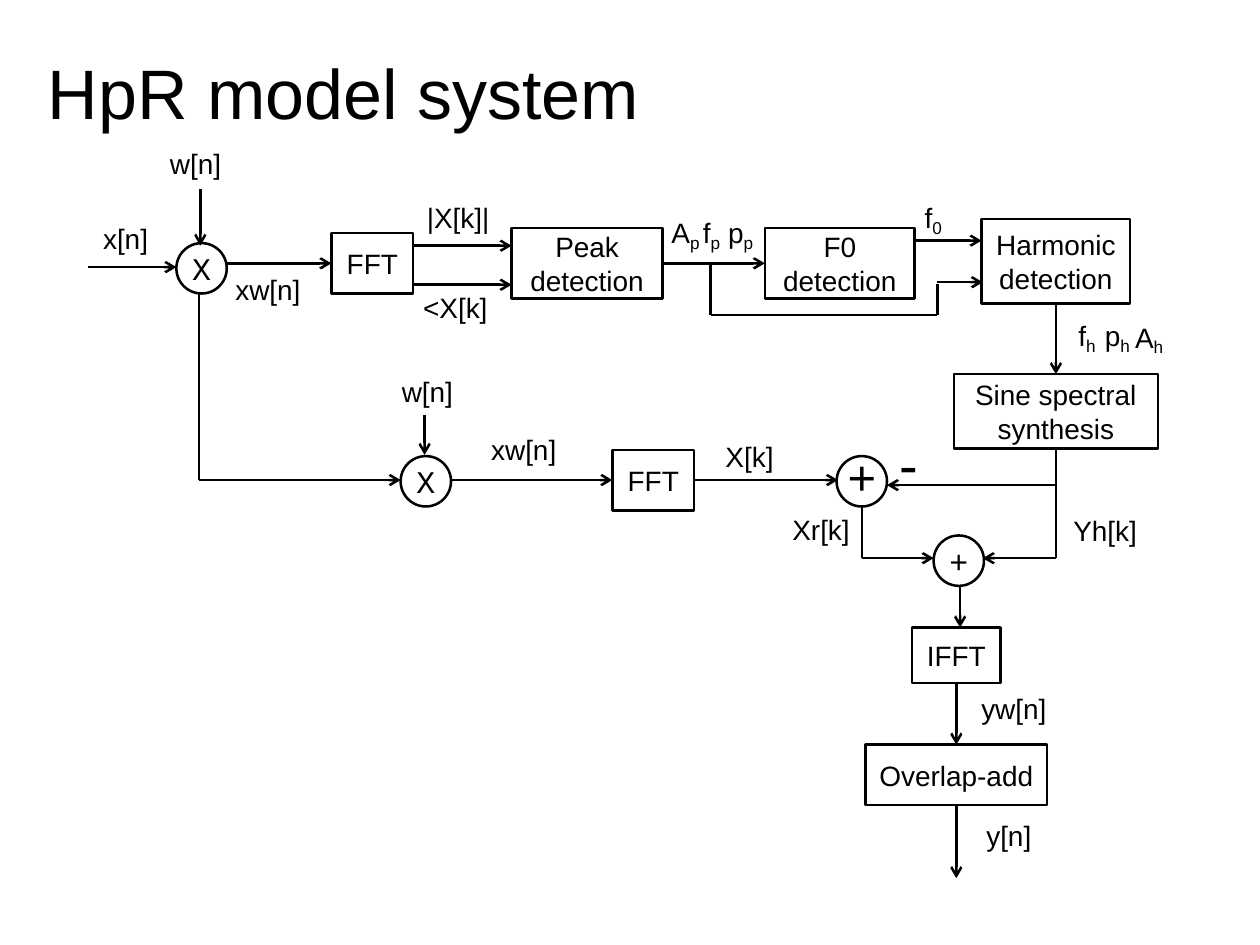
from dataclasses import dataclass
from typing import Optional

from lxml import etree
from pptx import Presentation
from pptx.dml.color import RGBColor
from pptx.enum.shapes import MSO_CONNECTOR, MSO_SHAPE
from pptx.enum.text import MSO_ANCHOR, MSO_AUTO_SIZE, PP_ALIGN
from pptx.oxml.ns import qn
from pptx.util import Emu, Pt

BLACK = RGBColor(0, 0, 0)
WHITE = RGBColor(255, 255, 255)
STRAIGHT = MSO_CONNECTOR.STRAIGHT
RECT, OVAL = MSO_SHAPE.RECTANGLE, MSO_SHAPE.OVAL
MIDDLE = MSO_ANCHOR.MIDDLE
LEFT, CENTER = PP_ALIGN.LEFT, PP_ALIGN.CENTER
NO_FIT, FIT_SHAPE = MSO_AUTO_SIZE.NONE, MSO_AUTO_SIZE.SHAPE_TO_FIT_TEXT
TOP_SIDE, LEFT_SIDE, BOTTOM_SIDE, RIGHT_SIDE = range(4)
SANS, MONO = "Arial", "Courier New"
LINE_WIDTH = Pt(1.45)
EMU_PER_PX = 9144
NODE = 40


@dataclass
class Box:
    name: str
    text: str
    x: int
    y: int
    w: int
    h: int


@dataclass
class Node:
    text: str
    x: int
    y: int
    size: int = 18
    font: str = MONO
    spacing: float = 1.0


@dataclass
class Label:
    text: str
    x: int
    y: int
    w: int
    h: int = 42
    sub: str = ""
    size: int = 16


@dataclass
class Wire:
    x1: int
    y1: int
    x2: int
    y2: int
    arrow: bool = True
    begin: Optional[tuple[str, int]] = None
    end: Optional[tuple[str, int]] = None


BOXES = [
    Box("fft_top", "FFT", 263, 185, 65, 48),
    Box("peak", "Peak detection", 406, 181, 120, 56),
    Box("f0", "F0\ndetection", 607, 181, 119, 56),
    Box("harmonic", "Harmonic\ndetection", 779, 174, 118, 67),
    Box("sine", "Sine spectral\nsynthesis", 757, 297, 162, 59),
    Box("fft_low", "FFT", 486, 357, 65, 48),
    Box("ifft", "IFFT", 724, 498, 70, 44),
    Box("overlap", "Overlap-add", 687, 591, 144, 48),
]

NODES = [
    Node("X", 140, 193),
    Node("X", 318, 362),
    Node("+", 664, 362, 28, SANS, 0.8),
    Node("+", 741, 425),
]

LABELS = [
    Label("x[n]", 72, 171, 66),
    Label("w[n]", 125, 111, 72),
    Label("xw[n]", 177, 211, 86),
    Label("|X[k]|", 329, 154, 83),
    Label("<X[k]", 326, 226, 85),
    Label("A", 523, 165, 49, 45, "p"),
    Label("f", 548, 165, 39, 45, "p"),
    Label("p", 568, 165, 46, 45, "p"),
    Label("f", 724, 153, 39, 45, "0"),
    Label("f", 846, 247, 39, 45, "h"),
    Label("p", 867, 247, 46, 45, "h"),
    Label("A", 891, 248, 49, 45, "h"),
    Label("w[n]", 309, 292, 72),
    Label("xw[n]", 380, 338, 86),
    Label("X[k]", 566, 344, 86),
    Label("-", 704, 336, 54, 65, size=32),
    Label("Xr[k]", 619, 402, 85),
    Label("Yh[k]", 842, 403, 84),
    Label("yw[n]", 769, 544, 86),
    Label("y[n]", 773, 645, 66),
]

WIRES = [
    Wire(70, 212, 140, 212),
    Wire(159, 150, 159, 195),
    Wire(180, 209, 263, 209, end=("fft_top", LEFT_SIDE)),
    Wire(328, 195, 406, 195),
    Wire(328, 226, 406, 226),
    Wire(526, 209, 607, 209, True, ("peak", RIGHT_SIDE), ("f0", LEFT_SIDE)),
    Wire(564, 209, 564, 250, False),
    Wire(564, 250, 744, 250, False),
    Wire(744, 250, 744, 225, False),
    Wire(744, 224, 780, 224),
    Wire(726, 191, 779, 191),
    Wire(838, 241, 838, 297, True, ("harmonic", BOTTOM_SIDE), ("sine", TOP_SIDE)),
    Wire(158, 233, 158, 381, False),
    Wire(158, 381, 318, 381),
    Wire(337, 329, 337, 361),
    Wire(358, 381, 486, 381, end=("fft_low", LEFT_SIDE)),
    Wire(551, 381, 665, 381, begin=("fft_low", RIGHT_SIDE)),
    Wire(838, 356, 838, 443, False, ("sine", BOTTOM_SIDE)),
    Wire(838, 385, 704, 385),
    Wire(838, 443, 780, 443),
    Wire(684, 402, 684, 443, False),
    Wire(684, 443, 741, 443),
    Wire(762, 465, 762, 498),
    Wire(759, 542, 759, 591, True, ("ifft", BOTTOM_SIDE), ("overlap", TOP_SIDE)),
    Wire(759, 639, 759, 697, begin=("overlap", BOTTOM_SIDE)),
]


def px(n: int) -> Emu:
    return Emu(n * EMU_PER_PX)


def set_insets(tf, dx: int, dy: int) -> None:
    tf.margin_left = tf.margin_right = px(dx)
    tf.margin_top = tf.margin_bottom = px(dy)


def format_text(tf, size: int, align, font: str = SANS) -> None:
    for p in tf.paragraphs:
        p.alignment = align
        for r in p.runs:
            r.font.size = Pt(size)
            r.font.name = font
            r.font.color.rgb = BLACK


def add_outlined(slide, kind, x: int, y: int, w: int, h: int, text: str):
    sp = slide.shapes.add_shape(kind, px(x), px(y), px(w), px(h))
    sp.shadow.inherit = False
    sp.fill.background()
    sp.line.color.rgb = BLACK
    sp.line.width = LINE_WIDTH
    sp.text_frame.text = text
    sp.text_frame.vertical_anchor = MIDDLE
    return sp


def draw_box(slide, box: Box):
    sp = add_outlined(slide, RECT, box.x, box.y, box.w, box.h, box.text)
    set_insets(sp.text_frame, 10, 5)
    format_text(sp.text_frame, 16, CENTER)
    return sp


def draw_node(slide, node: Node) -> None:
    tf = add_outlined(slide, OVAL, node.x, node.y, NODE, NODE, node.text).text_frame
    tf.word_wrap = False
    set_insets(tf, 0, 0)
    tf.paragraphs[0].line_spacing = node.spacing
    format_text(tf, node.size, CENTER, node.font)


def draw_label(slide, label: Label) -> None:
    sp = slide.shapes.add_textbox(px(label.x), px(label.y), px(label.w), px(label.h))
    tf = sp.text_frame
    tf.word_wrap = False
    tf.auto_size = FIT_SHAPE
    set_insets(tf, 10, 5)
    tf.text = label.text
    if label.sub:
        r = tf.paragraphs[0].add_run()
        r.text = label.sub
        r.font._element.set("baseline", "-20000")
    format_text(tf, label.size, LEFT)
    if label.sub:
        r.font.size = Pt(16.8)


def draw_wire(slide, wire: Wire, boxes: dict) -> None:
    cxn = slide.shapes.add_connector(
        STRAIGHT, px(wire.x1), px(wire.y1), px(wire.x2), px(wire.y2))
    if wire.begin:
        cxn.begin_connect(boxes[wire.begin[0]], wire.begin[1])
    if wire.end:
        cxn.end_connect(boxes[wire.end[0]], wire.end[1])
    cxn.line.color.rgb = BLACK
    cxn.line.width = LINE_WIDTH
    if wire.arrow:
        etree.SubElement(cxn.line._get_or_add_ln(), qn("a:tailEnd"), type="arrow")
    etree.SubElement(cxn._element.spPr, qn("a:effectLst"))


def draw_title(slide, text: str) -> None:
    sp = slide.shapes.title
    sp.left, sp.top, sp.width, sp.height = px(38), px(10), px(900), px(125)
    tf = sp.text_frame
    tf.text = text
    tf.auto_size = NO_FIT
    tf.vertical_anchor = MIDDLE
    set_insets(tf, 0, 0)
    format_text(tf, 40, LEFT)


def main() -> None:
    prs = Presentation()
    prs.slide_width, prs.slide_height = px(1000), px(750)
    slide = prs.slides.add_slide(prs.slide_layouts[5])
    slide.background.fill.solid()
    slide.background.fill.fore_color.rgb = WHITE
    draw_title(slide, "HpR model system")
    boxes = {box.name: draw_box(slide, box) for box in BOXES}
    for node in NODES:
        draw_node(slide, node)
    for wire in WIRES:
        draw_wire(slide, wire, boxes)
    for label in LABELS:
        draw_label(slide, label)
    prs.save("out.pptx")


if __name__ == "__main__":
    main()
